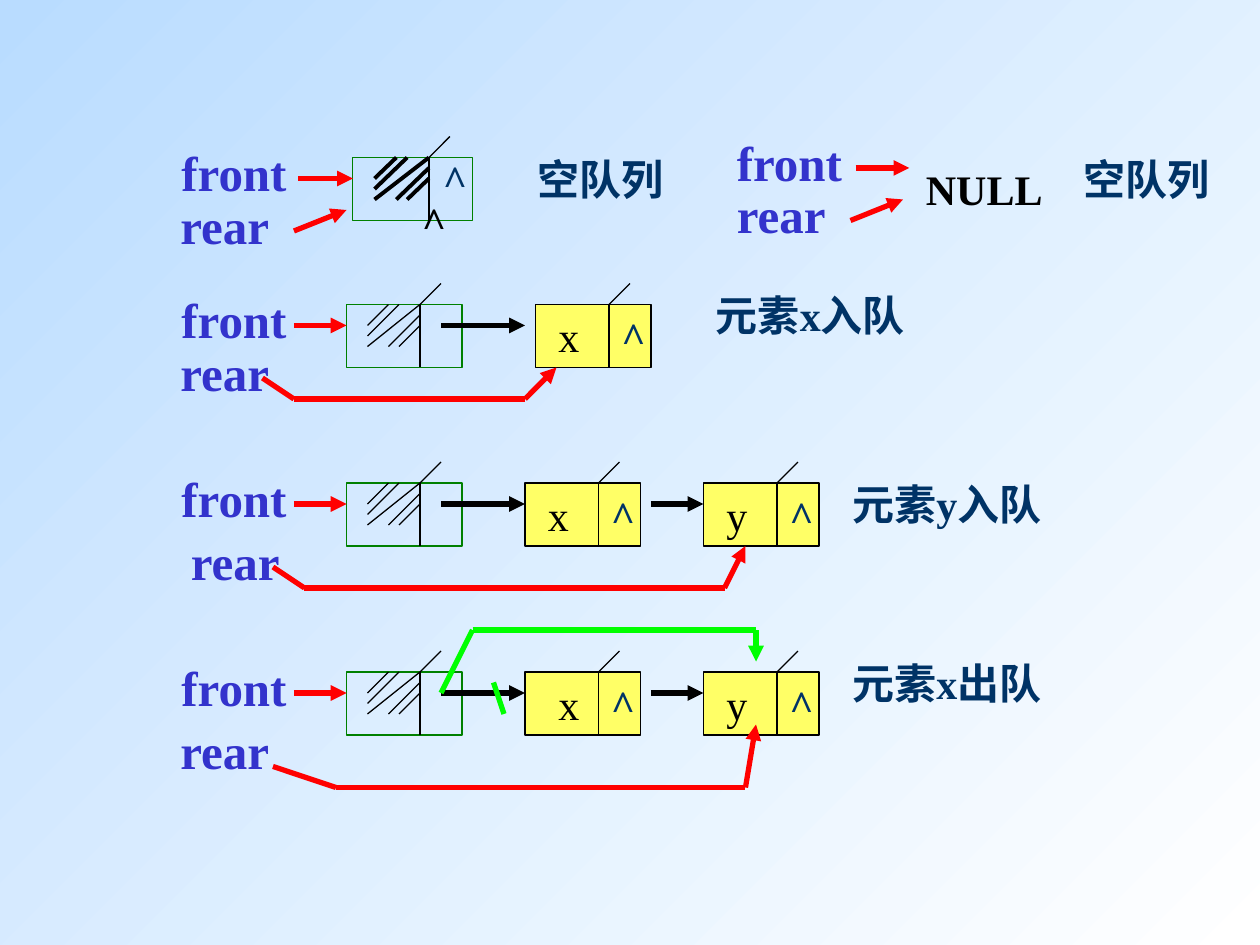
import pptx
import pptx.util
import pptx.dml.color
import pptx.enum.shapes
import pptx.oxml.ns
import lxml.etree

COLORS = {
    "white": "FFFFFF", "sky": "B9DCFF", "black": "000000", "red": "FF0000",
    "lime": "00FF00", "green": "008000", "yellow": "FFFF66",
    "blue": "3333CC", "navy": "003366",
}
STYLES = {
    "label": {"size": 28, "bold": True, "color": "blue", "high": 6.8},
    "note": {"size": 24, "bold": True, "color": "navy", "high": 6},
    "null": {"size": 24, "bold": True, "color": "black", "high": 6},
    "item": {"size": 24, "bold": False, "color": "black", "high": 6},
}

# x, y, width, hatch weight
HEADS = [(33.6, 15, 11.4, 2.25), (33, 29, 11, 0.75), (33, 46, 11, 0.75), (33, 64, 11, 0.75)]
# x, y, letter, letter offset
NODES = [(51, 29, "x", 1), (50, 46, "x", 1), (67, 46, "y", 1), (50, 64, "x", 2), (67, 64, "y", 1)]
HATCH = [(-2, 0, -5, 3), (0, 1, -3, 4), (0, 0, -5, 4), (0, 2, -2, 4), (-3, 0, -5, 2)]

LABELS = [
    ("front", 16.1, 13, 12.5, "label"), ("rear", 16, 18, 12, "label"),
    ("front", 69, 12, 12.5, "label"), ("rear", 69, 17, 12, "label"),
    ("front", 16.1, 27, 12.5, "label"), ("rear", 16, 32, 12, "label"),
    ("front", 16.1, 44, 12.5, "label"), ("rear", 17, 50, 12, "label"),
    ("front", 16.1, 62, 12.5, "label"), ("rear", 16, 68, 12, "label"),
    ("^", 41, 14, 4.7, "note"), ("^", 39, 18, 3, "null"),
    ("NULL", 87, 15, 14.8, "null"),
    ("空队列", 50, 14, 15, "note"), ("空队列", 102, 14, 15, "note"),
    ("元素x入队", 67, 27, 21, "note"),
    ("元素y入队", 80, 45, 21, "note"),
    ("元素x出队", 80, 62, 21, "note"),
]

ROUTES = [
    ("red", True, [(28.4, 17), (33.6, 17)]),
    ("red", True, [(28, 22), (33, 20)]),
    ("red", True, [(81.5, 16), (86.6, 16)]),
    ("red", True, [(81, 21), (86, 19)]),
    *[("red", True, [(28, y + 2), (33, y + 2)]) for y in (29, 46, 64)],
    *[("black", True, [(42, y + 2), (50, y + 2)]) for y in (29, 46, 64)],
    *[("black", True, [(62, y + 2), (67, y + 2)]) for y in (46, 64)],
    ("red", True, [(25, 36), (28, 38), (50, 38), (53, 35)]),
    ("red", True, [(26, 54), (29, 56), (69, 56), (71, 52)]),
    ("red", True, [(26, 73), (32, 75), (71, 75), (72, 69)]),
    ("lime", True, [(42, 66), (45, 60), (72, 60), (72, 63)]),
    ("lime", False, [(47, 65), (48, 68)]),
]


def unit(n):
    return pptx.util.Inches(n / 12)


def tint(name):
    return pptx.dml.color.RGBColor.from_string(COLORS[name])


def draw_line(start, end, color="black", width=0.75, arrow=False):
    line = slide.shapes.add_connector(
        pptx.enum.shapes.MSO_CONNECTOR.STRAIGHT, *map(unit, (*start, *end)))
    line.line.color.rgb = tint(color)
    line.line.width = pptx.util.Pt(width)
    props = line._element.spPr
    if arrow:
        lxml.etree.SubElement(
            line.line._get_or_add_ln(), pptx.oxml.ns.qn("a:tailEnd"), type="triangle")
    lxml.etree.SubElement(props, pptx.oxml.ns.qn("a:effectLst"))


def draw_box(x, y, wide, edge, fill=None):
    box = slide.shapes.add_shape(
        pptx.enum.shapes.MSO_SHAPE.RECTANGLE, *map(unit, (x, y, wide, 6)))
    box.shadow.inherit = False
    box.line.color.rgb = tint(edge)
    box.line.width = pptx.util.Pt(0.75)
    if fill:
        box.fill.solid()
        box.fill.fore_color.rgb = tint(fill)
    else:
        box.fill.background()
    split = x + 7 * wide / 11
    draw_line((split, y), (split, y + 6))
    draw_line((split, y), (split + 2, y - 2))
    return split


def write(text, x, y, wide, kind):
    style = STYLES[kind]
    frame = slide.shapes.add_textbox(*map(unit, (x, y, wide, style["high"]))).text_frame
    frame.word_wrap = text != "front"
    run = frame.paragraphs[0].add_run()
    run.text = text
    form = {"name": "Times New Roman", "size": pptx.util.Pt(style["size"]), "bold": style["bold"]}
    for key, value in form.items():
        setattr(run.font, key, value)
    run.font.color.rgb = tint(style["color"])


deck = pptx.Presentation()
deck.slide_width = pptx.util.Inches(10)
deck.slide_height = pptx.util.Inches(7.5)
slide = deck.slides.add_slide(deck.slide_layouts[6])

back = slide.background.fill
back.gradient()
back.gradient_angle = 135
for stop, place, name in zip(back.gradient_stops, (0, 1), ("white", "sky")):
    stop.position = place
    stop.color.rgb = tint(name)

for x, y, wide, weight in HEADS:
    split = draw_box(x, y, wide, "green")
    scale = wide / 11
    for left, top, right, low in HATCH:
        draw_line((split + left * scale, y + top), (split + right * scale, y + low), width=weight)

for x, y, letter, shift in NODES:
    draw_box(x, y, 11, "black", "yellow")
    write(letter, x + shift, y, 5, "item")
    write("^", x + 7, y, 5, "note")

for label in LABELS:
    write(*label)

for color, arrow, points in ROUTES:
    last = len(points) - 2
    for i, (start, end) in enumerate(zip(points, points[1:])):
        draw_line(start, end, color, 3, arrow and i == last)

deck.save("out.pptx")
